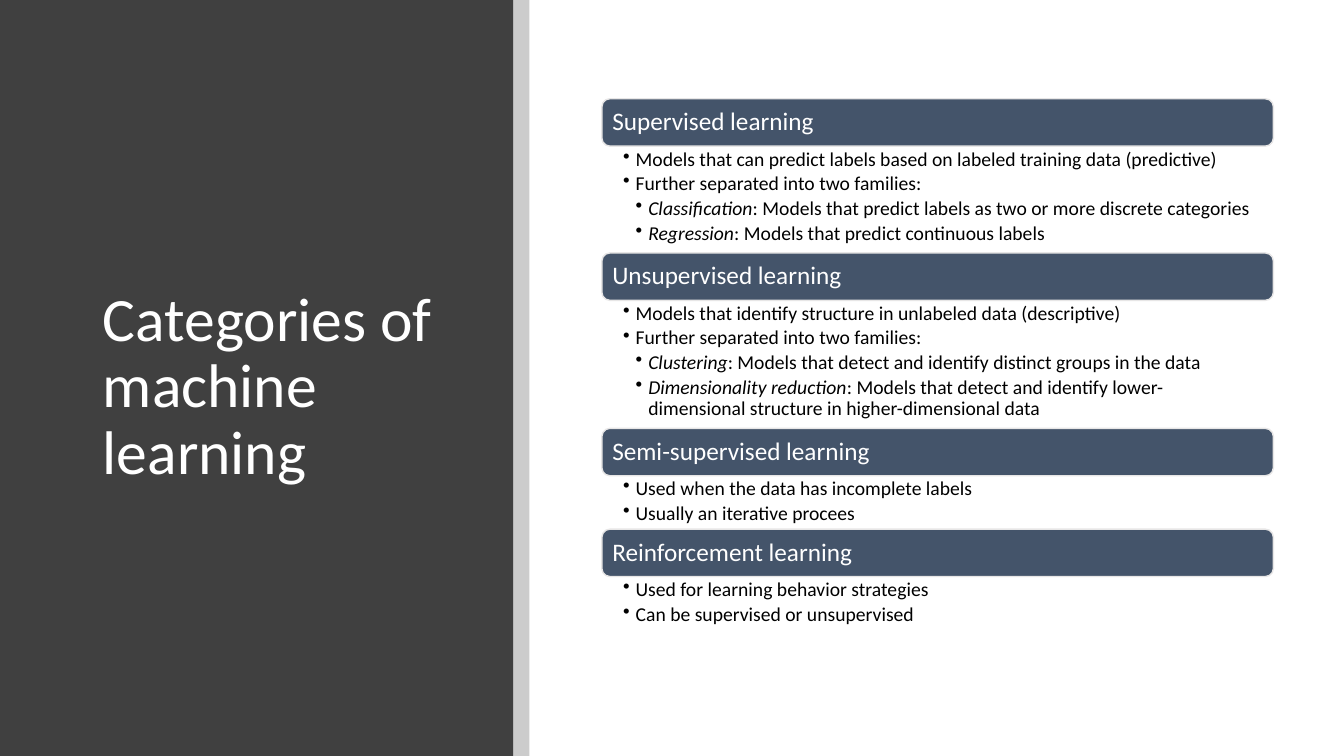
"""Builds the slide on the four categories of machine learning."""
from lxml import etree
from pptx import Presentation
from pptx.dml.color import RGBColor
from pptx.enum.shapes import MSO_SHAPE
from pptx.enum.text import MSO_ANCHOR, MSO_AUTO_SIZE, PP_ALIGN
from pptx.oxml.ns import qn
from pptx.util import Inches, Pt

RECTANGLE = MSO_SHAPE.RECTANGLE
ROUNDED = MSO_SHAPE.ROUNDED_RECTANGLE
MIDDLE, TOP = MSO_ANCHOR.MIDDLE, MSO_ANCHOR.TOP
LEFT = PP_ALIGN.LEFT
NO_FIT = MSO_AUTO_SIZE.NONE

COLUMN_LEFT, COLUMN_WIDTH, HEADING_HEIGHT = 5.97, 6.66, 0.47
BULLET_INDENT = 0.125

CATEGORIES = [
    ("Supervised learning", 0.98, 1.06, [
        (1, "", "Models that can predict labels based on labeled training data (predictive)"),
        (1, "", "Further separated into two families:"),
        (2, "Classification", ": Models that predict labels as two or more discrete categories"),
        (2, "Regression", ": Models that predict continuous labels"),
    ]),
    ("Unsupervised learning", 2.51, 1.26, [
        (1, "", "Models that identify structure in unlabeled data (descriptive)"),
        (1, "", "Further separated into two families:"),
        (2, "Clustering", ": Models that detect and identify distinct groups in the data"),
        (2, "Dimensionality reduction",
         ": Models that detect and identify lower-dimensional structure in higher-dimensional data"),
    ]),
    ("Semi-supervised learning", 4.25, 0.53, [
        (1, "", "Used when the data has incomplete labels"),
        (1, "", "Usually an iterative procees"),
    ]),
    ("Reinforcement learning", 5.25, 0.79, [
        (1, "", "Used for learning behavior strategies"),
        (1, "", "Can be supervised or unsupervised"),
    ]),
]


def paint(target, color):
    if hasattr(target, "solid"):
        target.solid()
        target = target.fore_color
        target.rgb = RGBColor.from_string(color)
    else:
        target.color.rgb = RGBColor.from_string(color)


def apply(target, **values):
    for name, value in values.items():
        setattr(target, name, value)


presentation = Presentation()
apply(presentation, slide_width=Inches(13.33), slide_height=Inches(7.5))
slide = presentation.slides.add_slide(presentation.slide_layouts[5])
shapes = slide.shapes

for panel_left, panel_width, panel_color in [(0, 5.09, "404040"), (5.09, 0.16, "000000")]:
    panel = shapes.add_shape(RECTANGLE, Inches(panel_left), 0, Inches(panel_width), Inches(7.5))
    panel.shadow.inherit = False
    paint(panel.fill, panel_color)
    panel.line.fill.background()
stripe_color = next(panel.fill._xPr.iter(qn("a:srgbClr")))
etree.SubElement(stripe_color, qn("a:alpha"), val="20000")

title = shapes.title
shapes._spTree.append(title._element)
apply(title, left=Inches(0.92), top=Inches(0.89), width=Inches(3.65), height=Inches(5.91))
title.text_frame.text = "Categories of machine learning"
apply(title.text_frame, vertical_anchor=MIDDLE, word_wrap=True, auto_size=NO_FIT)
heading = title.text_frame.paragraphs[0]
apply(heading, alignment=LEFT, line_spacing=0.9)
apply(heading.font, name="Calibri", size=Pt(44))
paint(heading.font, "FFFFFF")

for category, top, body_height, points in CATEGORIES:
    bar = shapes.add_shape(ROUNDED, Inches(COLUMN_LEFT), Inches(top),
                           Inches(COLUMN_WIDTH), Inches(HEADING_HEIGHT))
    bar.shadow.inherit = False
    bar.adjustments[0] = 0.17
    paint(bar.fill, "44546A")
    paint(bar.line, "E7E6E6")
    bar.line.width = Pt(1)
    bar.text_frame.text = category
    apply(bar.text_frame, vertical_anchor=MIDDLE, word_wrap=True, margin_left=Inches(0.08))
    label = bar.text_frame.paragraphs[0]
    apply(label, alignment=LEFT, line_spacing=0.9)
    apply(label.font, name="Calibri", size=Pt(18))
    paint(label.font, "FFFFFF")

    body = shapes.add_textbox(Inches(COLUMN_LEFT), Inches(top + HEADING_HEIGHT),
                              Inches(COLUMN_WIDTH), Inches(body_height)).text_frame
    apply(body, word_wrap=True, vertical_anchor=TOP, margin_left=Inches(0.21),
          margin_right=Inches(0.14), margin_top=Inches(0.03), margin_bottom=Inches(0.03))
    for index, (level, term, description) in enumerate(points):
        point = body.add_paragraph() if index else body.paragraphs[0]
        properties = point._p.get_or_add_pPr()
        properties.set("marL", str(Inches(level * BULLET_INDENT)))
        properties.set("indent", str(-Inches(BULLET_INDENT)))
        etree.SubElement(properties, qn("a:buChar"), char="•")
        apply(point, level=level, line_spacing=0.9, space_after=Pt(2.5))
        apply(point.font, name="Calibri", size=Pt(14))
        paint(point.font, "000000")
        for text, italic in [(term, True), (description, False)]:
            if text:
                run = point.add_run()
                run.text = text
                apply(run.font, name="Calibri", size=Pt(14), italic=italic)
                paint(run.font, "000000")

presentation.save("out.pptx")
